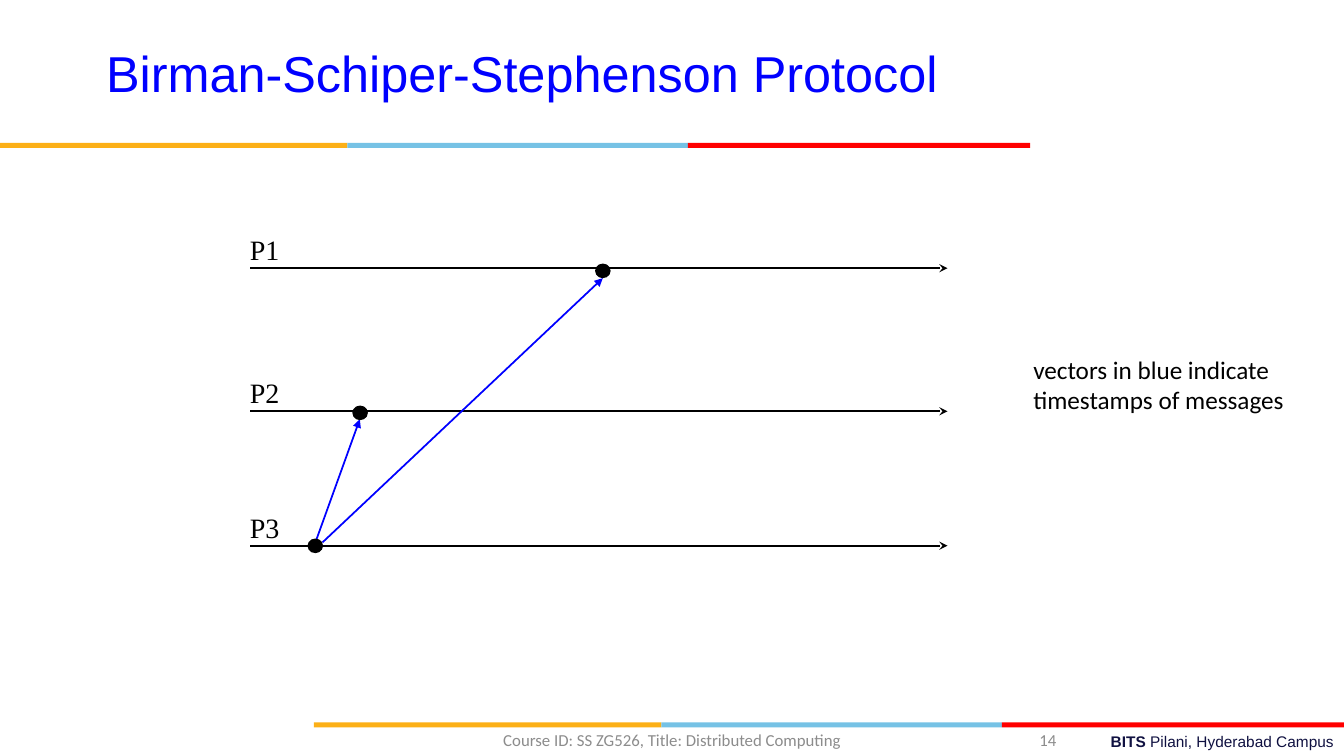
"""Build the Birman-Schiper-Stephenson protocol slide."""
from dataclasses import dataclass

from lxml.etree import SubElement as Sub
from pptx import Presentation
from pptx.dml.color import RGBColor as Rgb
from pptx.enum.shapes import MSO_CONNECTOR as Link, MSO_SHAPE as Form
from pptx.enum.text import (
    MSO_ANCHOR as Anchor, MSO_AUTO_SIZE as Fit, PP_ALIGN as Align)
from pptx.oxml.ns import qn
from pptx.slide import Slide
from pptx.util import Pt

HUES = {
    "gold": "FCB017", "sky": "76C2E5", "red": "FF0000", "navy": "101141",
    "blue": "0000FF", "black": "000000", "gray": "8C8C8C",
}


@dataclass(frozen=True)
class Label:
    runs: tuple[str, ...]
    left: float
    top: float
    width: float
    height: float
    size: float
    font: str
    hue: str
    align: Align = Align.LEFT
    anchor: Anchor = Anchor.TOP
    wrap: bool = True
    bold: bool = False


@dataclass(frozen=True)
class Arrow:
    start: tuple[float, float]
    end: tuple[float, float]
    hue: str
    width: float
    head: str


@dataclass(frozen=True)
class Solid:
    form: Form
    left: float
    top: float
    width: float
    height: float
    hue: str
    edge: float = 0


def tint(name: str) -> Rgb:
    return Rgb.from_string(HUES[name])


def draw_label(slide: Slide, label: Label) -> None:
    box = slide.shapes.add_textbox(
        Pt(label.left), Pt(label.top), Pt(label.width), Pt(label.height))
    frame = box.text_frame
    frame.word_wrap = label.wrap
    frame.auto_size = Fit.NONE if label.wrap else Fit.SHAPE_TO_FIT_TEXT
    frame.vertical_anchor = label.anchor
    line = frame.paragraphs[0]
    line.alignment = label.align
    for spot, text in enumerate(label.runs):
        run = line.add_run()
        run.text = text
        run.font.size = Pt(label.size)
        run.font.name = label.font
        run.font.color.rgb = tint(label.hue)
        run.font.bold = label.bold and spot == 0


def draw_arrow(slide: Slide, arrow: Arrow) -> None:
    link = slide.shapes.add_connector(
        Link.STRAIGHT, *map(Pt, arrow.start + arrow.end))
    link.line.color.rgb = tint(arrow.hue)
    link.line.width = Pt(arrow.width)
    props = link._element.spPr
    Sub(props.find(qn("a:ln")), qn("a:tailEnd"), type=arrow.head)
    Sub(props, qn("a:effectLst"))


def draw_solid(slide: Slide, solid: Solid) -> None:
    shape = slide.shapes.add_shape(
        solid.form, Pt(solid.left), Pt(solid.top),
        Pt(solid.width), Pt(solid.height))
    shape.shadow.inherit = False
    shape.fill.solid()
    shape.fill.fore_color.rgb = tint(solid.hue)
    if solid.edge:
        shape.line.color.rgb = tint(solid.hue)
        shape.line.width = Pt(solid.edge)
    else:
        shape.line.fill.background()


def draw_stripe(slide: Slide, left: float, top: float) -> None:
    for hue, width in (("gold", 248.2), ("sky", 243.2), ("red", 244.4)):
        draw_solid(slide, Solid(Form.RECTANGLE, left, top, width, 3.6, hue))
        left += width


def main() -> None:
    deck = Presentation()
    deck.slide_width, deck.slide_height = Pt(960), Pt(540)
    slide = deck.slides.add_slide(deck.slide_layouts[6])

    draw_stripe(slide, 0, 102)
    draw_stripe(slide, 224.2, 516)

    rows = {"P1": 191.6, "P2": 293.8, "P3": 389.8}
    for name, y in rows.items():
        draw_arrow(slide, Arrow((178.6, y), (676.8, y), "black", 1.5, "stealth"))
        draw_label(slide, Label((name,), 171.4, y - 28.8, 36, 31, 20,
                                "Times New Roman", "black", wrap=False))

    sends = (
        Arrow((226.1, 385.2), (257, 299.5), "blue", 1.25, "triangle"),
        Arrow((230.4, 387.4), (430.6, 198.7), "blue", 1.25, "triangle"),
    )
    for send in sends:
        draw_arrow(slide, send)

    for left, top in ((425.6, 188.8), (252.2, 290.2), (220.2, 385.2)):
        draw_solid(slide, Solid(Form.OVAL, left, top, 10.1, 9.4, "black", 1))

    labels = (
        Label(("Birman-Schiper-Stephenson Protocol",), 41, 6.6, 663.8, 90,
              36, "Arial", "blue", Align.CENTER, Anchor.MIDDLE),
        Label(("vectors in blue indicate timestamps of messages",),
              731, 249.5, 203.8, 51, 18, "Calibri", "black"),
        Label(("Course ID: SS ZG526, Title: Distributed Computing",),
              318.2, 514.1, 324, 28.8, 12, "Calibri", "gray",
              Align.CENTER, Anchor.MIDDLE),
        Label(("14",), 663.8, 514.1, 97.9, 28.8, 12, "Calibri", "gray",
              Align.RIGHT, Anchor.MIDDLE),
        Label(("BITS ", "Pilani, Hyderabad Campus"), 344.2, 519.1, 615.8, 20.9,
              11, "Arial", "navy", Align.RIGHT, bold=True),
    )
    for label in labels:
        draw_label(slide, label)

    deck.save("out.pptx")


if __name__ == "__main__":
    main()
